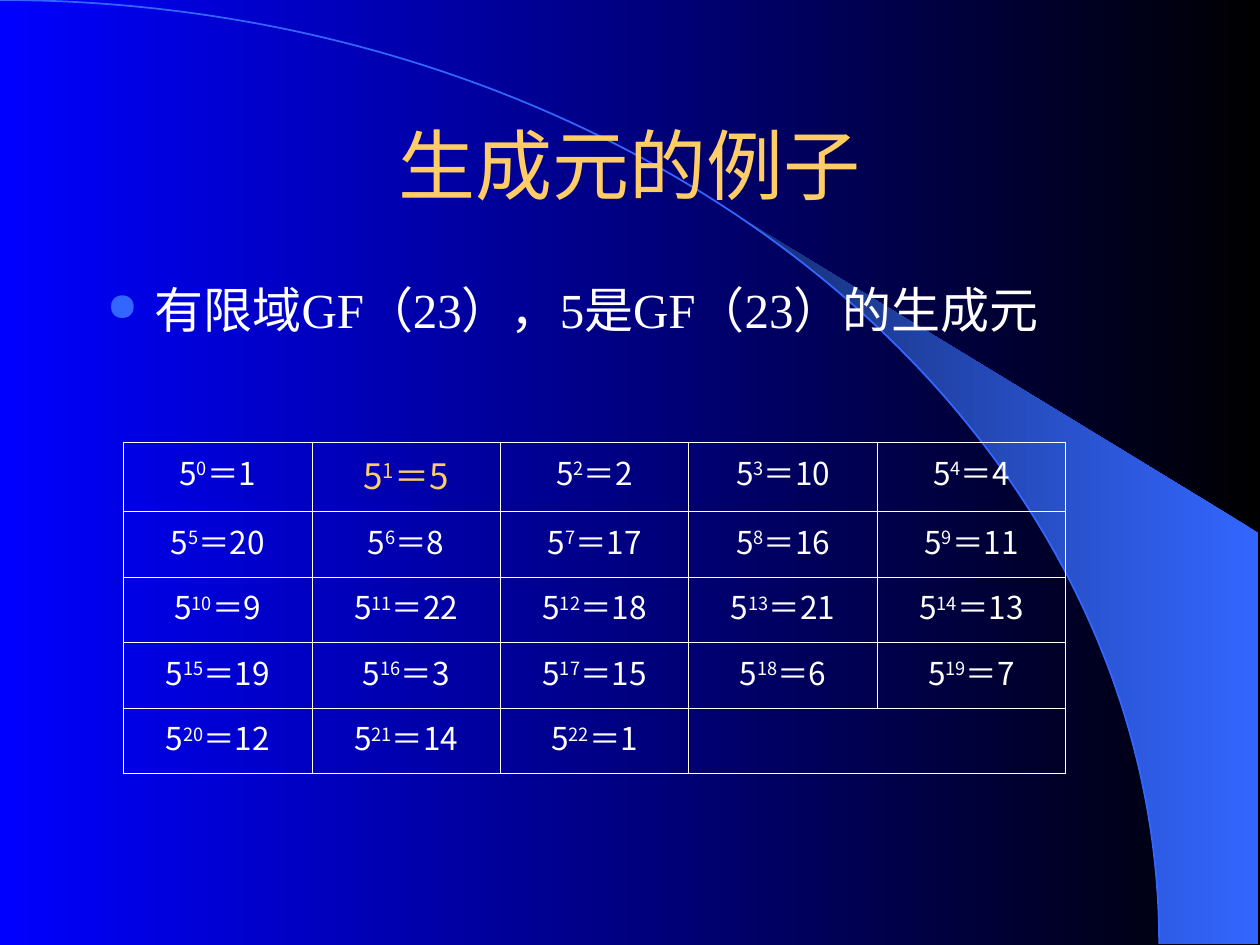
from dataclasses import dataclass
from math import acos, cos, sin

from lxml import etree
from pptx import Presentation
from pptx.dml.color import RGBColor
from pptx.enum.shapes import MSO_SHAPE
from pptx.enum.text import MSO_ANCHOR, PP_ALIGN
from pptx.oxml.ns import qn
from pptx.util import Inches, Pt

ARC = MSO_SHAPE.ARC
MIDDLE, TOP = MSO_ANCHOR.MIDDLE, MSO_ANCHOR.TOP
CENTER, LEFT = PP_ALIGN.CENTER, PP_ALIGN.LEFT
GRID_COLUMNS, GRID_ROWS = 100, 75
HANGING = Inches(0.38)


@dataclass(frozen=True)
class Theme:
    night: str = "000000"
    blue: str = "0000FF"
    accent: str = "3366FF"
    accent_dark: str = "172F75"
    gold: str = "FFCC66"
    text: str = "FFFFFF"
    title_font: str = "Arial"
    body_font: str = "Times New Roman"
    table_font: str = "Noto Sans CJK SC"
    title_size: int = 44
    body_size: int = 28
    cell_size: int = 18
    highlight_size: int = 20
    border: float = 0.45


class SlideBuilder:
    """Places elements on a grid of 100 columns and 75 rows."""

    def __init__(self, deck, theme):
        self.theme = theme
        self.slide = deck.slides.add_slide(deck.slide_layouts[6])
        self.shapes = self.slide.shapes
        self.column = deck.slide_width / GRID_COLUMNS
        self.row = deck.slide_height / GRID_ROWS

    def place(self, left, top, width, height):
        return (*self.point(left, top), *self.point(width, height))

    def point(self, x, y):
        return round(x * self.column), round(y * self.row)

    def gradient(self, fill, start, end):
        fill.gradient()
        fill.gradient_angle = 180
        for stop, color in zip(fill.gradient_stops, (start, end)):
            stop.color.rgb = RGBColor.from_string(color)

    def background(self):
        self.gradient(self.slide.background.fill, self.theme.night, self.theme.blue)

    def band(self, radius_x, radius_y, chord_x, right, right_top, steps=24):
        """Area between the ellipse around (0, radius_y) and a straight upper edge."""
        end = acos(chord_x / radius_x)
        angles = [end * step / steps for step in range(steps + 1)]
        curve = [self.point(radius_x * cos(a), radius_y * (1 - sin(a))) for a in angles]
        outline = curve + [self.point(right, right_top), self.point(right, radius_y)]
        builder = self.shapes.build_freeform(*outline[0])
        builder.add_line_segments(outline[1:], close=True)
        band = builder.convert_to_shape()
        band.shadow.inherit = False
        band.line.fill.background()
        self.gradient(band.fill, self.theme.accent, self.theme.accent_dark)

    def arc(self, radius_x, radius_y):
        arc = self.shapes.add_shape(
            ARC, *self.place(-radius_x, 0, 2 * radius_x, 2 * radius_y))
        arc.shadow.inherit = False
        arc.fill.background()
        arc.line.color.rgb = RGBColor.from_string(self.theme.accent)
        arc.line.width = Pt(1)

    def style(self, paragraph, font, size, color, align):
        paragraph.alignment = align
        paragraph.font.name = font
        paragraph.font.size = Pt(size)
        paragraph.font.color.rgb = RGBColor.from_string(color)

    def hang(self, paragraph):
        properties = paragraph._p.get_or_add_pPr()
        properties.set("marL", str(HANGING))
        properties.set("indent", str(-HANGING))
        return properties

    def bullet(self, paragraph):
        properties = self.hang(paragraph)
        color = etree.SubElement(properties, qn("a:buClr"))
        etree.SubElement(color, qn("a:srgbClr"), val=self.theme.accent)
        etree.SubElement(properties, qn("a:buSzPct"), val="80000")
        etree.SubElement(properties, qn("a:buChar"), char="●")

    def text(self, words, area, font, size, color, align=LEFT, anchor=TOP, bullet=False):
        frame = self.shapes.add_textbox(*self.place(*area)).text_frame
        frame.word_wrap = True
        frame.vertical_anchor = anchor
        paragraph = frame.paragraphs[0]
        paragraph.text = words
        if bullet:
            self.bullet(paragraph)
        self.style(paragraph, font, size, color, align)

    def borders(self, cell):
        properties = cell._tc.get_or_add_tcPr()
        for index, side in enumerate(("lnL", "lnR", "lnT", "lnB")):
            line = etree.Element(qn(f"a:{side}"), w=str(Pt(self.theme.border)))
            fill = etree.SubElement(line, qn("a:solidFill"))
            etree.SubElement(fill, qn("a:srgbClr"), val=self.theme.text)
            properties.insert(index, line)

    def power(self, cell, base, exponent, modulus, highlight):
        theme = self.theme
        paragraph = cell.text_frame.paragraphs[0]
        self.hang(paragraph)
        result = pow(base, exponent, modulus)
        for part in (base, exponent, f"＝{result}"):
            paragraph.add_run().text = str(part)
        paragraph.runs[1].font._element.set("baseline", "30000")
        size, color = ((theme.highlight_size, theme.gold) if highlight
                       else (theme.cell_size, theme.text))
        self.style(paragraph, theme.table_font, size, color, CENTER)

    def power_table(self, base, modulus, area, columns, row_heights):
        """Powers of base from 0 to modulus - 1, with the unused cells merged."""
        table = self.shapes.add_table(
            len(row_heights), columns, *self.place(*area)).table
        table.first_row = table.horz_banding = False
        for row, height in zip(table.rows, row_heights):
            row.height = round(height * self.row)
        for exponent, cell in enumerate(table.iter_cells()):
            cell.fill.background()
            self.borders(cell)
            if exponent < modulus:
                self.power(cell, base, exponent, modulus, highlight=exponent == 1)
        last = len(row_heights) - 1
        table.cell(last, modulus % columns).merge(table.cell(last, columns - 1))


def main():
    deck = Presentation()
    deck.slide_width, deck.slide_height = Inches(10), Inches(7.5)
    theme = Theme()
    page = SlideBuilder(deck, theme)
    page.background()
    page.band(92, 74.9, chord_x=58.9, right=99.9, right_top=42.3)
    page.arc(92, 74.9)
    page.text("生成元的例子", (7.5, 6.7, 85, 12.5), theme.title_font,
              theme.title_size, theme.gold, align=CENTER, anchor=MIDDLE)
    page.text("有限域GF（23），5是GF（23）的生成元", (7.5, 21.7, 85, 45),
              theme.body_font, theme.body_size, theme.text, bullet=True)
    page.power_table(5, 23, (9.8, 35.1, 74.8, 26.3), columns=5,
                     row_heights=[5.5] + [5.2] * 4)
    deck.save("out.pptx")


if __name__ == "__main__":
    main()
